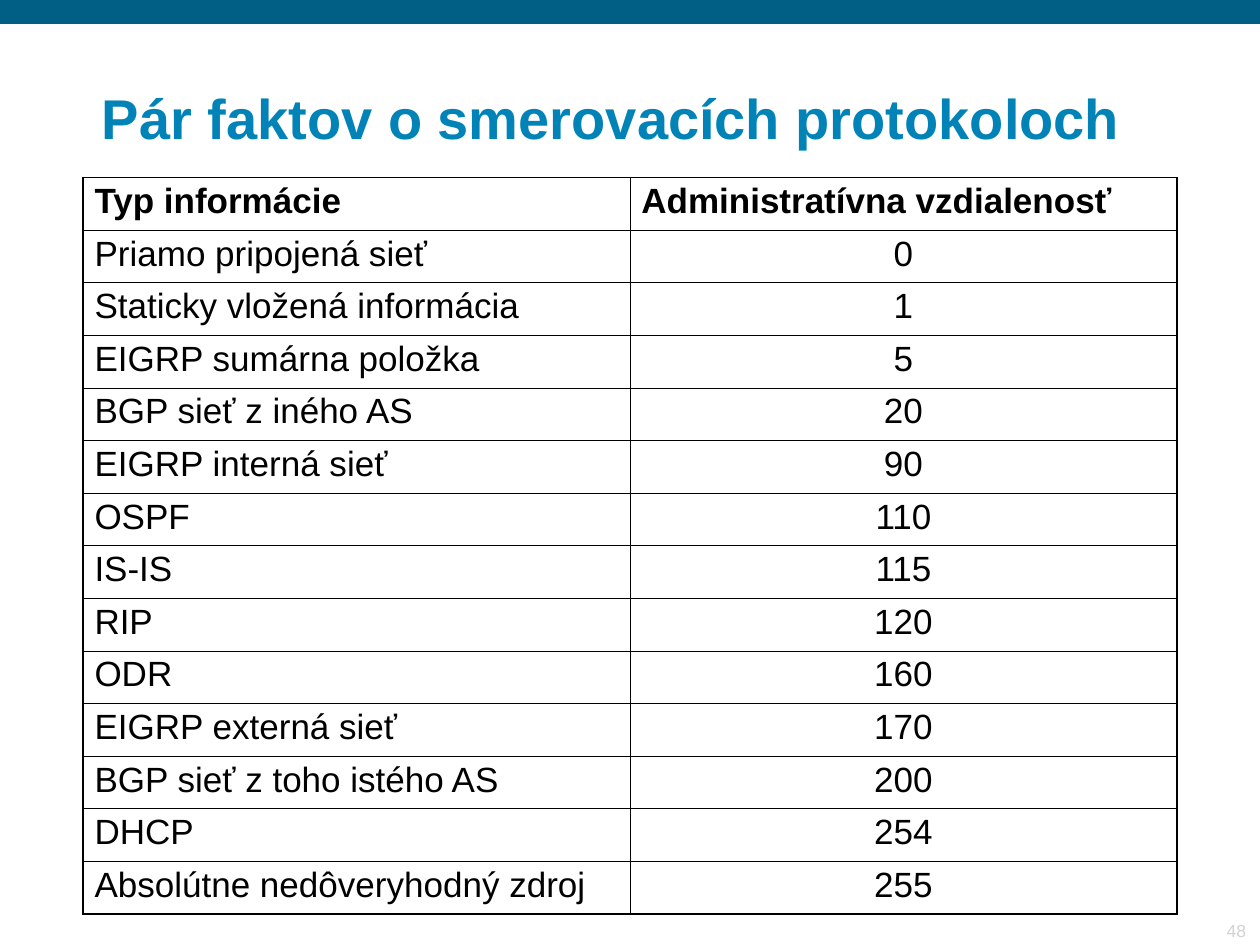
from dataclasses import dataclass
from typing import NamedTuple

import pptx
import pptx.dml.color
import pptx.enum.shapes
import pptx.enum.text
import pptx.oxml
import pptx.oxml.ns
import pptx.util

Pt = pptx.util.Pt
ALIGN = pptx.enum.text.PP_ALIGN
ANCHOR = pptx.enum.text.MSO_ANCHOR


@dataclass(frozen=True)
class Theme:
    font: str = "Arial"
    bar: str = "015F85"
    title: str = "0183B7"
    ink: str = "000000"
    page: str = "D3D3D3"
    title_size: float = 32
    cell_size: float = 20
    page_size: float = 10
    thick: float = 1.08
    thin: float = 0.45


class Box(NamedTuple):
    left: float
    top: float
    width: float
    height: float

    def points(self) -> list:
        return [Pt(side) for side in self]


class Route(NamedTuple):
    source: str
    distance: int


THEME = Theme()
BAR = Box(0, 0, 720, 13.7)
TITLE = Box(51.8, 36, 641.5, 66.2)
TABLE = Box(47.5, 101.5, 625, 409.64)
PAGE = Box(660.2, 522, 58.3, 18.7)

HEADS = ("Typ informácie", "Administratívna vzdialenosť")
ROUTES = [
    Route("Priamo pripojená sieť", 0),
    Route("Staticky vložená informácia", 1),
    Route("EIGRP sumárna položka", 5),
    Route("BGP sieť z iného AS", 20),
    Route("EIGRP interná sieť", 90),
    Route("OSPF", 110),
    Route("IS-IS", 115),
    Route("RIP", 120),
    Route("ODR", 160),
    Route("EIGRP externá sieť", 170),
    Route("BGP sieť z toho istého AS", 200),
    Route("DHCP", 254),
    Route("Absolútne nedôveryhodný zdroj", 255),
]


def write(frame, text: str, size: float, color: str, bold: bool = False,
          align=ALIGN.LEFT, spacing: float = 1.0) -> None:
    frame.text = text
    line = frame.paragraphs[0]
    line.alignment = align
    line.line_spacing = spacing
    line.font.name = THEME.font
    line.font.size = Pt(size)
    line.font.bold = bold
    line.font.color.rgb = pptx.dml.color.RGBColor.from_string(color)


def pad(frame) -> None:
    frame.margin_left = frame.margin_right = Pt(6.5)
    frame.margin_top = frame.margin_bottom = Pt(3)


def add_bar(slide) -> None:
    bar = slide.shapes.add_shape(
        pptx.enum.shapes.MSO_SHAPE.RECTANGLE, *BAR.points())
    bar.shadow.inherit = False
    bar.fill.solid()
    bar.fill.fore_color.rgb = pptx.dml.color.RGBColor.from_string(THEME.bar)
    bar.line.fill.background()


def set_title(slide, text: str) -> None:
    title = slide.shapes.title
    title.left, title.top, title.width, title.height = TITLE.points()
    frame = title.text_frame
    write(frame, text, THEME.title_size, THEME.title, bold=True, spacing=0.9)
    pad(frame)
    frame.word_wrap = True
    frame.auto_size = pptx.enum.text.MSO_AUTO_SIZE.NONE
    frame.vertical_anchor = ANCHOR.MIDDLE


def add_page(slide, number: int) -> None:
    frame = slide.shapes.add_textbox(*PAGE.points()).text_frame
    write(frame, str(number), THEME.page_size, THEME.page, align=ALIGN.RIGHT)
    pad(frame)
    frame.word_wrap = True
    frame.vertical_anchor = ANCHOR.BOTTOM


def set_edges(cell, edges: dict[str, bool]) -> None:
    """Draw each side of the cell, thick where it is an outer edge."""
    for side, outer in edges.items():
        width = Pt(THEME.thick if outer else THEME.thin)
        cell._tc.get_or_add_tcPr().append(pptx.oxml.parse_xml(
            f'<a:ln{side} {pptx.oxml.ns.nsdecls("a")} w="{width}">'
            f'<a:solidFill><a:srgbClr val="{THEME.ink}"/></a:solidFill>'
            f'</a:ln{side}>'))


def add_grid(slide, heads: tuple, routes: list[Route]) -> None:
    rows = [heads, *routes]
    last_row, last_col = len(rows) - 1, len(heads) - 1
    table = slide.shapes.add_table(
        len(rows), len(heads), *TABLE.points()).table
    table.first_row = table.horz_banding = False
    for col in table.columns:
        col.width = Pt(TABLE.width / len(heads))
    for r, row in enumerate(rows):
        table.rows[r].height = Pt(TABLE.height / len(rows))
        for c, value in enumerate(row):
            cell = table.cell(r, c)
            centred = r > 0 and c == last_col
            write(cell.text_frame, str(value), THEME.cell_size, THEME.ink,
                  bold=r == 0, spacing=0.95,
                  align=ALIGN.CENTER if centred else ALIGN.LEFT)
            cell.margin_left = cell.margin_right = Pt(6.5)
            cell.margin_top = cell.margin_bottom = Pt(3.6)
            set_edges(cell, {"L": c == 0, "R": c == last_col,
                             "T": r == 0, "B": r == last_row})
            cell.fill.background()


def main() -> None:
    deck = pptx.Presentation()
    deck.slide_width, deck.slide_height = Pt(720), Pt(540)
    slide = deck.slides.add_slide(deck.slide_layouts.get_by_name("Title Only"))
    add_bar(slide)
    add_page(slide, 48)
    set_title(slide, "Pár faktov o smerovacích protokoloch")
    add_grid(slide, HEADS, ROUTES)
    deck.save("out.pptx")


if __name__ == "__main__":
    main()
